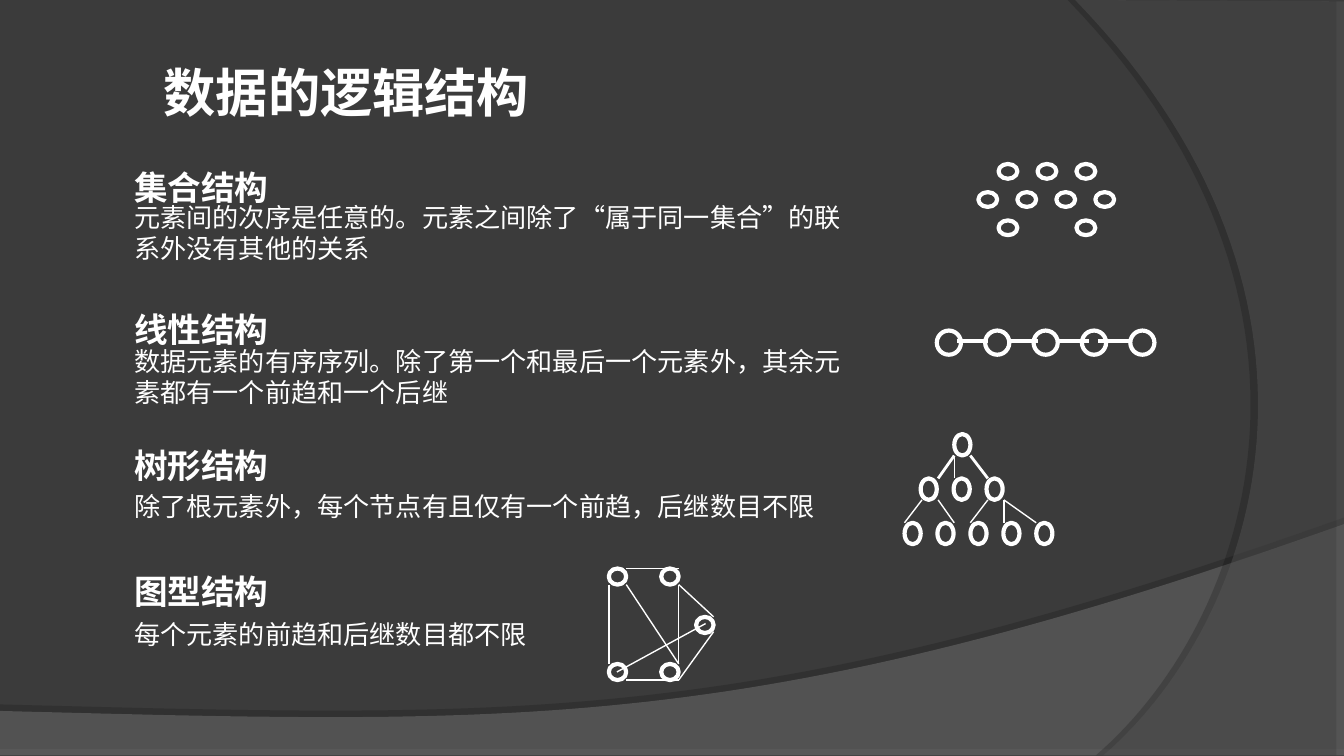
from lxml.etree import SubElement
from pptx import Presentation
from pptx.dml.color import RGBColor
from pptx.enum.shapes import MSO_CONNECTOR, MSO_SHAPE
from pptx.oxml.ns import qn
from pptx.util import Inches, Pt

WHITE = RGBColor(0xFF, 0xFF, 0xFF)
BACKGROUND = RGBColor(0x3B, 0x3B, 0x3B)
LOWER_SWOOSH = RGBColor(0x7C, 0x7C, 0x7C)
RIGHT_SWOOSH = RGBColor(0x59, 0x59, 0x59)

TITLE = {"size": Pt(28), "bold": True}
HEADING = {"size": Pt(18), "bold": True}
BODY = {"size": Pt(14), "bold": False}
THIN, MEDIUM, THICK = 0.75, 1.5, 2.25

SECTIONS = [
    ("集合结构", 1.04, "元素间的次序是任意的。元素之间除了“属于同一集合”的联系外没有其他的关系", 1.45, 0.57),
    ("线性结构", 2.1, "数据元素的有序序列。除了第一个和最后一个元素外，其余元素都有一个前趋和一个后继", 2.52, 0.57),
    ("树形结构", 3.11, "除了根元素外，每个节点有且仅有一个前趋，后继数目不限", 3.6, 0.34),
    ("图型结构", 4.05, "每个元素的前趋和后继数目都不限", 4.55, 0.34),
]


def curve(start, control1, control2, end, steps=60):
    points = []
    for step in range(steps + 1):
        t = step / steps
        weights = ((1 - t) ** 3, 3 * t * (1 - t) ** 2, 3 * t * t * (1 - t), t ** 3)
        corners = (start, control1, control2, end)
        points.append(tuple(sum(w * c[axis] for w, c in zip(weights, corners)) for axis in (0, 1)))
    return points


def row(left, top, pitch, columns):
    return [(left + pitch * column, top) for column in columns]


class SlideBuilder:
    font_name = "Noto Sans CJK SC"

    def __init__(self, presentation):
        self.slide = presentation.slides.add_slide(presentation.slide_layouts[6])
        self.slide.background.fill.solid()
        self.slide.background.fill.fore_color.rgb = BACKGROUND

    def swoosh(self, points, color, opacity, shadow_opacity, distance, direction):
        corners = [(Inches(x), Inches(y)) for x, y in points]
        builder = self.slide.shapes.build_freeform(*corners[0], scale=1.0)
        builder.add_line_segments(corners[1:], close=True)
        shape = builder.convert_to_shape()
        shape.line.fill.background()
        shape.fill.solid()
        shape.fill.fore_color.rgb = color
        shape.shadow.inherit = False
        properties = shape._element.spPr
        fill_color = properties.find(qn("a:solidFill"))[0]
        SubElement(fill_color, qn("a:alpha"), val=str(opacity * 1000))
        shadow = SubElement(
            properties.find(qn("a:effectLst")), qn("a:outerShdw"), blurRad="0",
            dist=str(Pt(distance)), dir=str(direction * 60000), algn="ctr", rotWithShape="0")
        shadow_color = SubElement(shadow, qn("a:srgbClr"), val="000000")
        SubElement(shadow_color, qn("a:alpha"), val=str(shadow_opacity * 1000))

    def text(self, words, left, top, width, height, style, spacing=1.0):
        box = self.slide.shapes.add_textbox(Inches(left), Inches(top), Inches(width), Inches(height))
        box.text_frame.word_wrap = True
        paragraph = box.text_frame.paragraphs[0]
        paragraph.line_spacing = spacing
        run = paragraph.add_run()
        run.text = words
        for name, value in {"name": self.font_name, **style}.items():
            setattr(run.font, name, value)
        run.font.color.rgb = WHITE
        properties = run._r.get_or_add_rPr()
        properties.set("lang", "zh-CN")
        SubElement(properties, qn("a:ea"), typeface=self.font_name)

    def node(self, shapes, left, top, width, height, rotation):
        shape = shapes.add_shape(
            MSO_SHAPE.OVAL, Inches(left), Inches(top), Inches(width), Inches(height))
        shape.rotation = rotation
        shape.shadow.inherit = False
        shape.fill.background()
        shape.line.color.rgb = WHITE
        shape.line.width = Pt(THICK)

    def link(self, shapes, start, end, weight):
        connector = shapes.add_connector(
            MSO_CONNECTOR.STRAIGHT, *(Inches(value) for value in (*start, *end)))
        connector.line.color.rgb = WHITE
        connector.line.width = Pt(weight)
        SubElement(connector._element.spPr, qn("a:effectLst"))

    def diagram(self, nodes, width, height, links=(), rotation=0):
        shapes = self.slide.shapes.add_group_shape().shapes
        for left, top in nodes:
            self.node(shapes, left, top, width, height, rotation)
        for start, end, weight in links:
            self.link(shapes, start, end, weight)


def main():
    presentation = Presentation()
    presentation.slide_width = Inches(10)
    presentation.slide_height = Inches(10) * 9 // 16
    builder = SlideBuilder(presentation)

    lower_edge = curve((10, 3.9), (5.59, 5.47), (3.91, 5.39), (0, 5.29))
    builder.swoosh([(0, 5.62), (10, 5.62)] + lower_edge, LOWER_SWOOSH, 45, 35, 3.5, 270)
    right_edge = curve((8.21, 5.62), (9.35, 4.64), (10.18, 2.25), (8, 0))
    builder.swoosh([(10, 0.01), (10, 5.62)] + right_edge, RIGHT_SWOOSH, 40, 45, 4, 180)

    builder.text("数据的逻辑结构", 1.12, 0.4, 3.65, 0.57, TITLE)
    for heading, heading_top, body, body_top, body_height in SECTIONS:
        builder.text(body, 0.9, body_top, 5.5, body_height, BODY)
        builder.text(heading, 0.9, heading_top, 5.42, 0.55, HEADING, 1.5)

    set_nodes = (row(7.43, 1.22, 0.29, range(3)) + row(7.28, 1.43, 0.29, range(4))
                 + row(7.43, 1.64, 0.29, (0, 2)))
    builder.diagram(set_nodes, 0.14, 0.11)

    chain_links = [((left, 2.54), (left + 0.23, 2.54), THICK) for left in (7.12, 7.49, 7.87, 8.17)]
    builder.diagram(row(6.97, 2.46, 0.36, range(5)), 0.18, 0.18, chain_links)

    tree_pitch = 0.49 / 2
    tree_nodes = ([(7.08, 3.25)] + row(6.83, 3.58, tree_pitch, range(3))
                  + row(6.71, 3.91, tree_pitch, range(5)))
    root_links = [(7.22, 7.35, MEDIUM), (7.1, 6.98, MEDIUM), (7.1, 7.1, THIN)]
    leaf_links = [(7.47, 7.71), (7.47, 7.47), (7.35, 7.22), (6.98, 7.1), (6.86, 6.73)]
    tree_links = [((start, 3.39), (end, 3.56), weight) for start, end, weight in root_links]
    tree_links += [((start, 3.72), (end, 3.89), THIN) for start, end in leaf_links]
    builder.diagram(tree_nodes, 0.16, 0.12, tree_links, 90)

    graph_nodes = [(left, top) for left in (4.53, 4.92) for top in (4.23, 4.94)] + [(5.18, 4.59)]
    graph_links = [
        ((4.66, 4.23), (5.05, 4.23)),
        ((4.66, 5.06), (5.05, 5.06)),
        ((5.05, 4.35), (5.05, 4.94)),
        ((4.66, 4.35), (5.05, 4.94)),
        ((5.05, 4.35), (5.31, 4.59)),
        ((5.31, 4.7), (5.05, 5.06)),
        ((4.53, 4.35), (4.53, 4.94)),
        ((4.59, 5), (5.25, 4.64)),
    ]
    builder.diagram(graph_nodes, 0.13, 0.12, [(*ends, THIN) for ends in graph_links])

    presentation.save("out.pptx")


if __name__ == "__main__":
    main()
